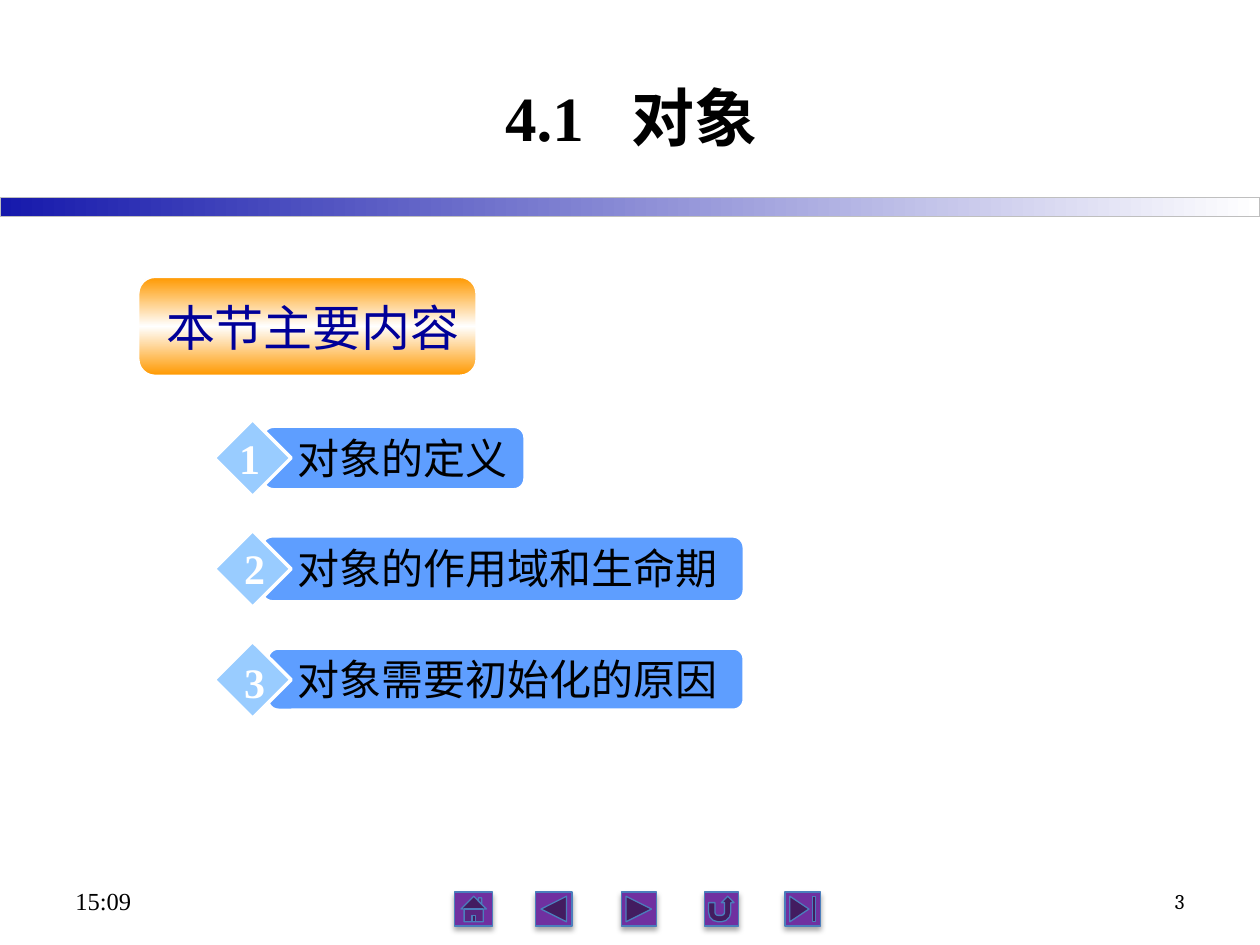
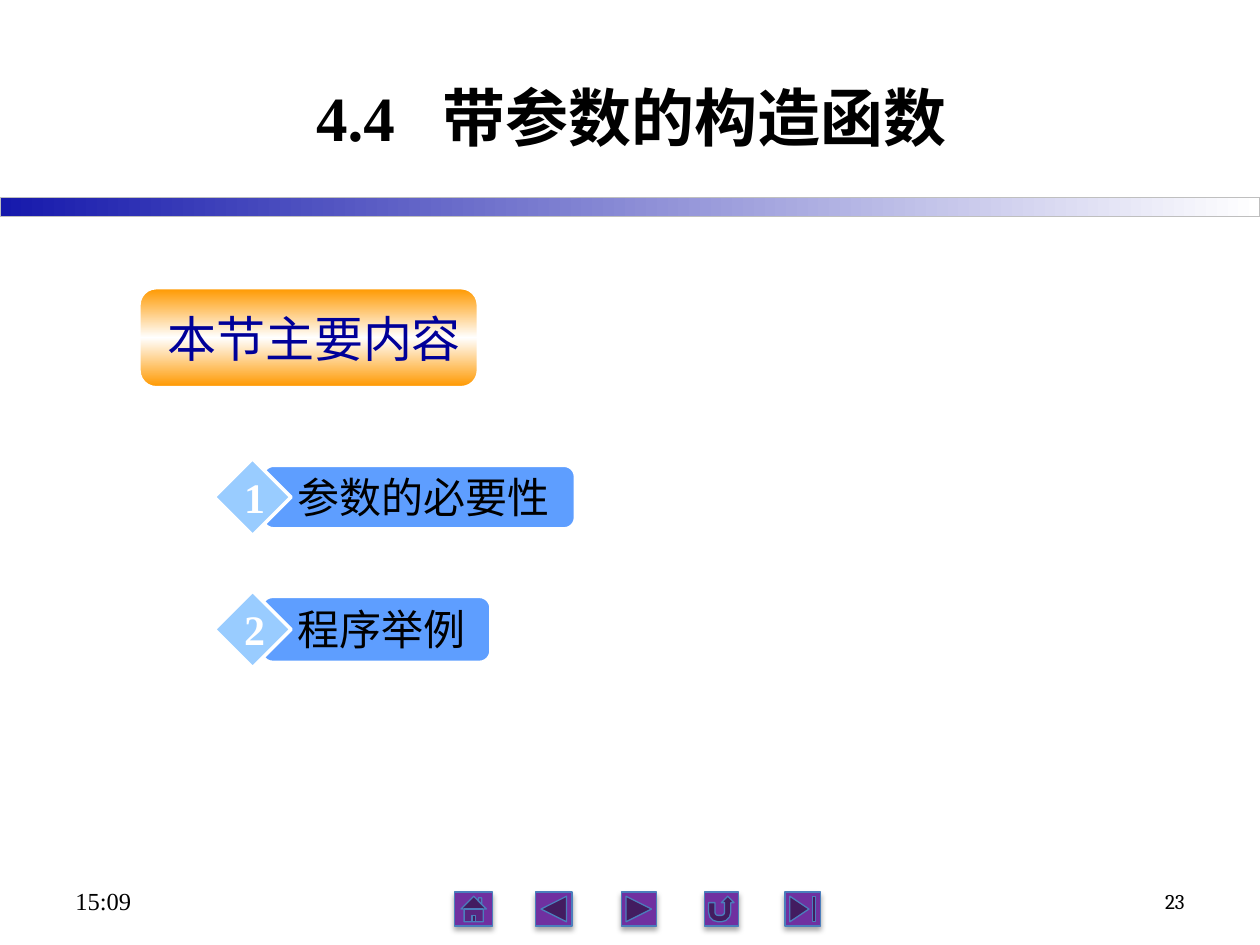
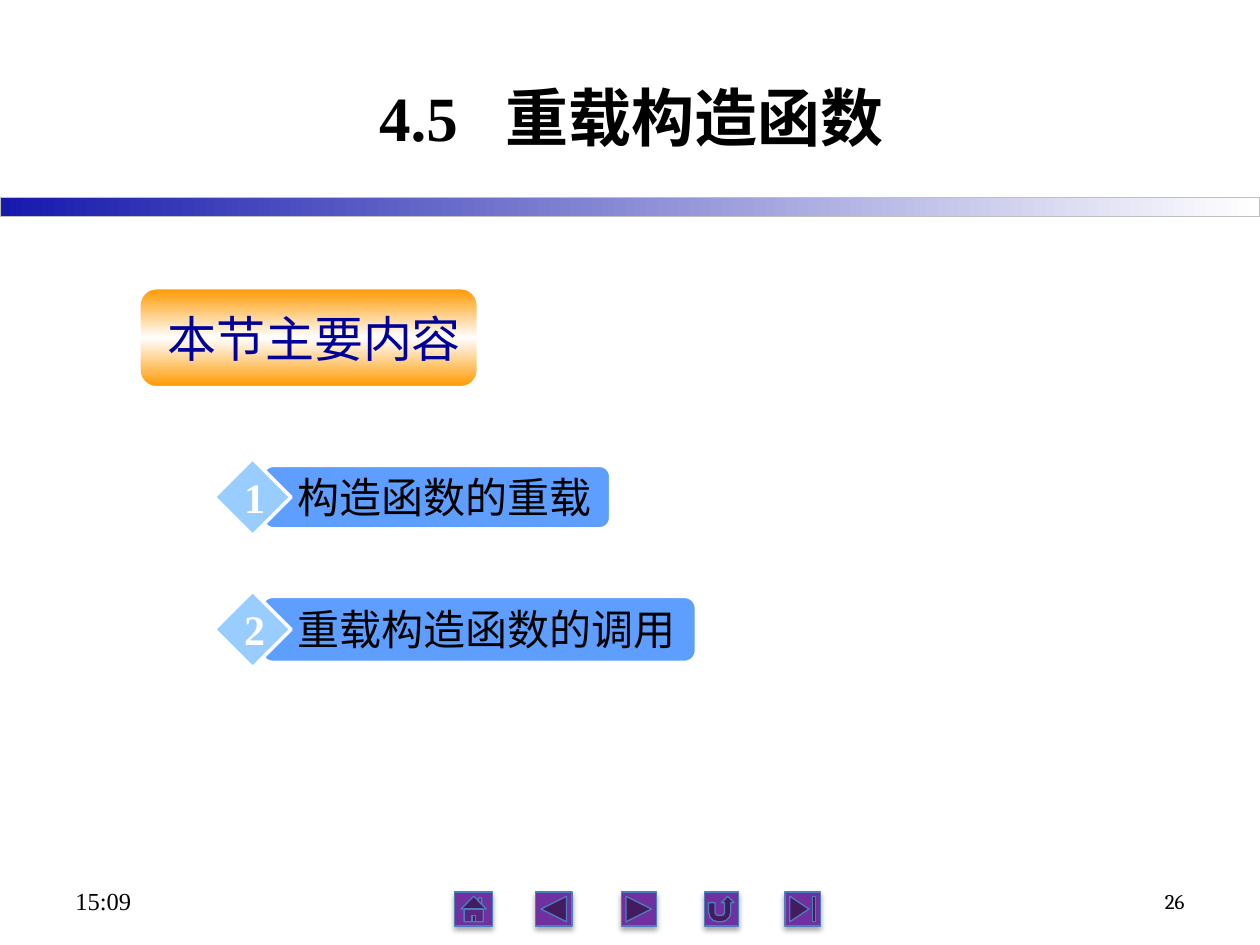
import pptx
import pptx.dml.color
import pptx.enum.shapes
import pptx.enum.text
import pptx.oxml
import pptx.oxml.ns
import pptx.util

Inches, Pt = pptx.util.Inches, pptx.util.Pt
SHAPE = pptx.enum.shapes.MSO_SHAPE
ALIGN = pptx.enum.text.PP_ALIGN
ANCHOR = pptx.enum.text.MSO_ANCHOR
GROW = pptx.enum.text.MSO_AUTO_SIZE.SHAPE_TO_FIT_TEXT
qn = pptx.oxml.ns.qn
NS = pptx.oxml.ns.nsdecls("a")

COLORS = {
    "black": "000000", "white": "FFFFFF", "navy": "1619AC", "grey": "BFBFBF",
    "purple": "7030A0", "steel": "4B7EBC", "orange": "FF9900", "heading": "000099",
    "bar": "5E9EFF", "diamond": "99CCFF",
}
SERIF, SANS, CJK, PAGE = "Times New Roman", "Arial", "Noto Sans CJK SC", "Cambria"

# Text formats
TITLE = {"size": Pt(36), "name": SERIF, "bold": True}
TITLE_CJK = {**TITLE, "name": CJK}
TIME = {"size": Pt(14), "name": SERIF}
PAGE_NO = {"size": Pt(12), "name": PAGE}
HEADING = {"size": Pt(28), "name": SANS}
LABEL = {"size": Pt(24), "name": SERIF}
NUMBER = {**LABEL, "bold": True}

# Frame formats
MIDDLE = {"vertical_anchor": ANCHOR.MIDDLE, "word_wrap": True}
FIT = {"word_wrap": True, "auto_size": GROW}
FIT_LOW = {**FIT, "margin_top": Inches(0.09), "margin_bottom": Inches(0.01)}
FIT_LINE = {"word_wrap": False, "auto_size": GROW}

# Navigation buttons: shape, left, width
BUTTONS = [
    (SHAPE.ACTION_BUTTON_BACK_OR_PREVIOUS, 4.25, 0.29),
    (SHAPE.ACTION_BUTTON_FORWARD_OR_NEXT, 4.93, 0.28),
    (SHAPE.ACTION_BUTTON_HOME, 3.61, 0.3),
    (SHAPE.ACTION_BUTTON_END, 6.23, 0.28),
    (SHAPE.ACTION_BUTTON_RETURN, 5.59, 0.27),
]

# Row layouts by number; the d values are offsets from the top of the diamond
ROWS = {
    1: {"bar_x": 2.09, "bar_d": 0.06, "bar_h": 0.49, "label_d": 0.01, "num_d": 0.05, "frame": FIT_LOW},
    2: {"bar_x": 2.08, "bar_d": 0.05, "bar_h": 0.51, "label_d": 0.05, "num_d": 0.05, "frame": FIT},
    3: {"bar_x": 2.13, "bar_d": 0.06, "bar_h": 0.48, "label_d": 0.05, "num_d": 0.07, "frame": FIT},
}

# Slides; items: text, diamond top, bar width, label width, middle of the number
SECTIONS = [
    {"number": "4.1", "title": "对象", "page": "3", "heading_at": (1.1, 2.2), "items": [
        ("对象的定义", 3.33, 2.07, 1.94, 1.98),
        ("对象的作用域和生命期", 4.21, 3.82, 3.56, 2.02),
        ("对象需要初始化的原因", 5.09, 3.77, 3.55, 2.02)]},
    {"number": "4.4", "title": "带参数的构造函数", "page": "23", "heading_at": (1.11, 2.29), "items": [
        ("参数的必要性", 3.64, 2.47, 2.31, 2.02),
        ("程序举例", 4.69, 1.81, 1.63, 2.02)]},
    {"number": "4.5", "title": "重载构造函数", "page": "26", "heading_at": (1.11, 2.29), "items": [
        ("构造函数的重载", 3.64, 2.75, 2.68, 2.02),
        ("重载构造函数的调用", 4.69, 3.44, 3.26, 2.02)]},
]


def rgb(name):
    return pptx.dml.color.RGBColor.from_string(COLORS[name])


class Deck:
    def __init__(self):
        self.prs = pptx.Presentation()
        self.prs.slide_width, self.prs.slide_height = Inches(10), Inches(7.5)
        self.s = None

    def add_slide(self):
        self.s = self.prs.slides.add_slide(self.prs.slide_layouts[6])

    def shape(self, kind, at, fill, line, width, angle=0):
        """Add a shape; a list of colours as fill makes an even gradient."""
        sp = self.s.shapes.add_shape(kind, *map(Inches, at))
        sp.shadow.inherit = False
        if isinstance(fill, list):
            self.gradient(sp, fill, angle)
        else:
            sp.fill.solid()
            sp.fill.fore_color.rgb = rgb(fill)
        sp.line.color.rgb = rgb(line)
        sp.line.width = Pt(width)
        return sp

    def gradient(self, sp, names, angle):
        sp.fill.gradient()
        sp.fill.gradient_angle = angle
        stops = next(sp._element.spPr.iter(qn("a:gsLst")))
        for gs in list(stops):
            stops.remove(gs)
        for i, name in enumerate(names):
            pos = 100000 * i // (len(names) - 1)
            stops.append(pptx.oxml.parse_xml(
                f'<a:gs {NS} pos="{pos}"><a:srgbClr val="{COLORS[name]}"/></a:gs>'))

    def button(self, kind, x, w):
        sp = self.shape(kind, (x, 7.08, w, 0.27), "purple", "steel", 0.75)
        sp._element.spPr.find(qn("a:effectLst")).append(pptx.oxml.parse_xml(
            f'<a:outerShdw {NS} blurRad="{Pt(3.1)}" dist="{Pt(1.8)}" dir="5400000" rotWithShape="0">'
            f'<a:srgbClr val="{COLORS["black"]}"><a:alpha val="35000"/></a:srgbClr></a:outerShdw>'))

    def text(self, at, runs, frame, color="black", align=ALIGN.LEFT):
        """Add a text box; runs are pairs of text and font format."""
        tf = self.s.shapes.add_textbox(*map(Inches, at)).text_frame
        for key, value in frame.items():
            setattr(tf, key, value)
        p = tf.paragraphs[0]
        p.alignment = align
        for content, font in runs:
            r = p.add_run()
            r.text = content
            for key, value in font.items():
                setattr(r.font, key, value)
            r.font.color.rgb = rgb(color)
            r._r.get_or_add_rPr().append(pptx.oxml.parse_xml(f'<a:ea {NS} typeface="{CJK}"/>'))
        return p

    def frame(self, number, title, page):
        # Band and buttons
        self.shape(SHAPE.RECTANGLE, (0, 1.57, 10, 0.15), ["navy", "white"], "grey", 0.75)
        for button in BUTTONS:
            self.button(*button)
        # Title, with a widened space after the section number
        p = self.text((1.11, 0.3, 7.8, 1.25), [(number, TITLE), (" ", TITLE), (title, TITLE_CJK)],
                      MIDDLE, align=ALIGN.CENTER)
        p.runs[1]._r.rPr.set("spc", "1800")
        # Footer
        self.text((0.5, 6.95, 2.33, 0.4), [("15:09", TIME)], MIDDLE)
        self.text((7.17, 6.95, 2.33, 0.4), [(page, PAGE_NO)], MIDDLE, align=ALIGN.RIGHT)

    def heading(self, x, y):
        self.shape(SHAPE.ROUNDED_RECTANGLE, (x, y, 2.68, 0.78),
                   ["orange", "white", "orange"], "white", 1, 90)
        self.text((x + 0.12, y + 0.07, 2.56, 0.57), [("本节主要内容", HEADING)], FIT_LOW, "heading")

    def item(self, n, label, y, bar_w, label_w, num_x):
        row = ROWS[n]
        self.shape(SHAPE.ROUNDED_RECTANGLE, (row["bar_x"], y + row["bar_d"], bar_w, row["bar_h"]),
                   "bar", "white", 1)
        self.shape(SHAPE.DIAMOND, (1.7, y, 0.61, 0.61), "diamond", "white", 2)
        self.text((2.26, y + row["label_d"], label_w, 0.5), [(label, LABEL)], row["frame"])
        self.text((num_x - 0.19, y + row["num_d"], 0.38, 0.5), [(str(n), NUMBER)],
                  FIT_LINE, "white", ALIGN.CENTER)


def main():
    deck = Deck()
    for section in SECTIONS:
        deck.add_slide()
        deck.frame(section["number"], section["title"], section["page"])
        deck.heading(*section["heading_at"])
        for n, item in enumerate(section["items"], 1):
            deck.item(n, *item)
    deck.prs.save("out.pptx")


if __name__ == "__main__":
    main()
